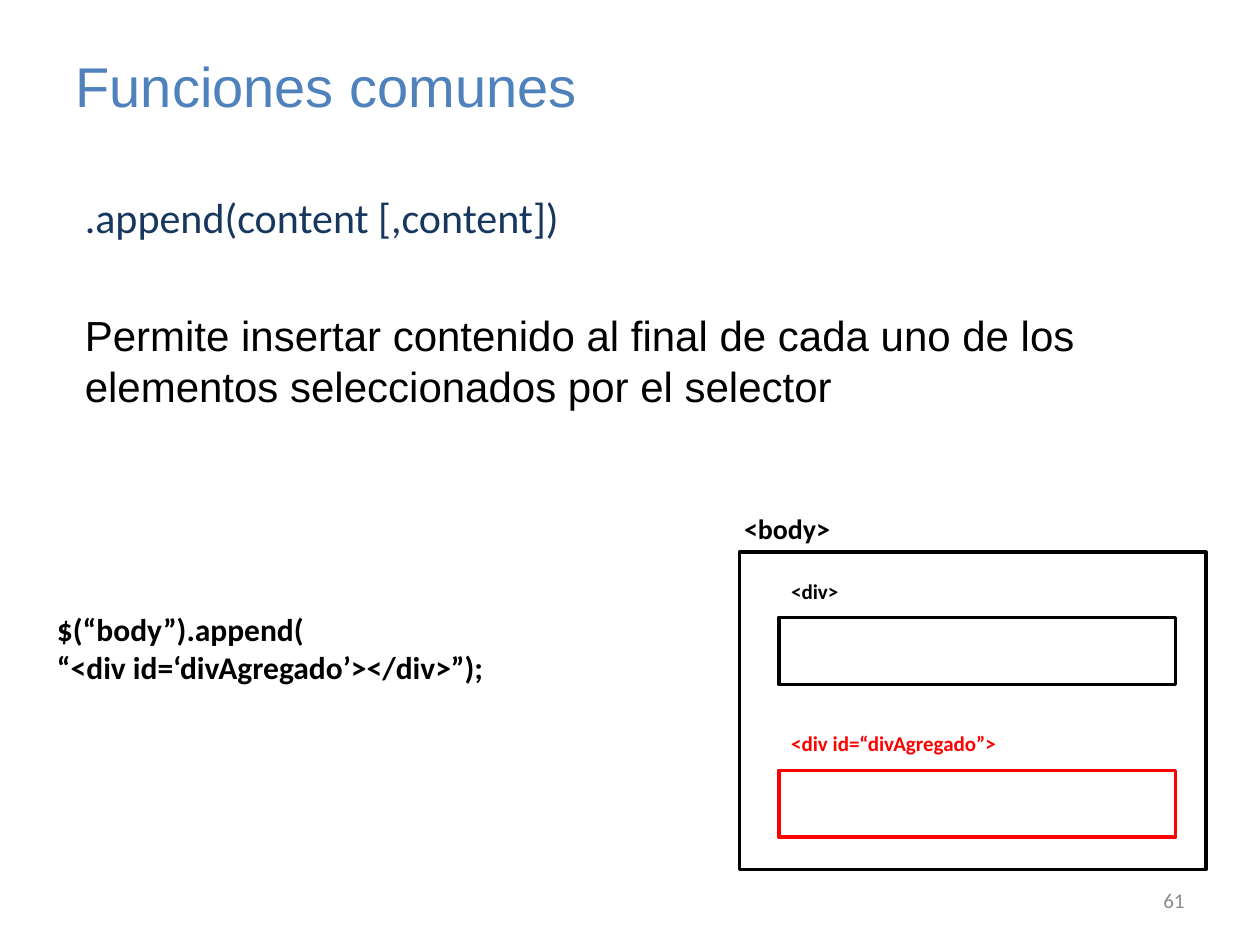
from pptx import Presentation
from pptx.dml.color import RGBColor
from pptx.enum.shapes import MSO_SHAPE as Shape
from pptx.enum.text import MSO_ANCHOR as Anchor, PP_ALIGN as Align
from pptx.util import Cm, Pt

BLACK, RED = "000000", "FF0000"


def style(para, size, color, name="Calibri", bold=False):
    font = para.font
    font.size, font.name, font.bold = Pt(size), name, bold
    font.color.rgb = RGBColor.from_string(color)


def label(x, y, w, h, lines, size, color, bold=True, wrap=True):
    """Add a text box with one paragraph per line and return its frame."""
    frame = slide.shapes.add_textbox(Cm(x), Cm(y), Cm(w), Cm(h)).text_frame
    frame.word_wrap = wrap
    frame.text = "\n".join(lines)
    for para in frame.paragraphs:
        style(para, size, color, bold=bold)
    return frame


prs = Presentation()
prs.slide_width, prs.slide_height = Cm(25.4), Cm(19.05)
slide = prs.slides.add_slide(prs.slide_layouts[5])

# Title
title = slide.shapes.title
title.left, title.top, title.width, title.height = Cm(1.27), Cm(0.53), Cm(20), Cm(2.36)
title.text_frame.text = "Funciones comunes"
title.text_frame.vertical_anchor = Anchor.MIDDLE
head = title.text_frame.paragraphs[0]
head.alignment = Align.LEFT
style(head, 32, "4F81BD", "Arial")

# Signature and description
body = label(1.3, 3.73, 22.8, 6.4, [
    ".append(content [,content])",
    "Permite insertar contenido al final de cada uno de los elementos "
    "seleccionados por el selector",
], 24, "17375E", bold=False)
body.margin_left = Cm(0.41)
about = body.paragraphs[1]
about.space_before = Pt(39)
style(about, 24, BLACK, "Arial")

# Slide number
num = label(18.2, 17.65, 5.93, 1.01, ["61"], 12, "8C8C8C", bold=False)
num.vertical_anchor = Anchor.MIDDLE
num.paragraphs[0].alignment = Align.RIGHT

# Code sample
label(0.9, 12.17, 13.4, 1.8,
      ["$(“body”).append(", "“<div id=‘divAgregado’></div>”);"], 18, BLACK)

# Nested page elements: tag, tag position and size, box position and size, color
nodes = [
    ("<body>", (14.75, 10.19, 2.54, 0.94), 16, (14.91, 11.13, 9.4, 6.4), BLACK),
    ("<div>", (15.7, 11.53, 1.63, 0.77), 12, (15.7, 12.45, 8, 1.35), BLACK),
    ("<div id=“divAgregado”>", (15.7, 15.62, 5.41, 0.77), 12,
     (15.7, 15.53, 8, 1.35), RED),
]
nodes[2] = (nodes[2][0], (15.7, 14.61, 5.41, 0.77), *nodes[2][2:])
for tag, spot, size, area, color in nodes:
    box = slide.shapes.add_shape(Shape.RECTANGLE, *map(Cm, area))
    box.shadow.inherit = False
    box.fill.background()
    box.line.color.rgb = RGBColor.from_string(color)
    box.line.width = Pt(2)
    label(*spot, [tag], size, color, wrap=False)

prs.save("out.pptx")
